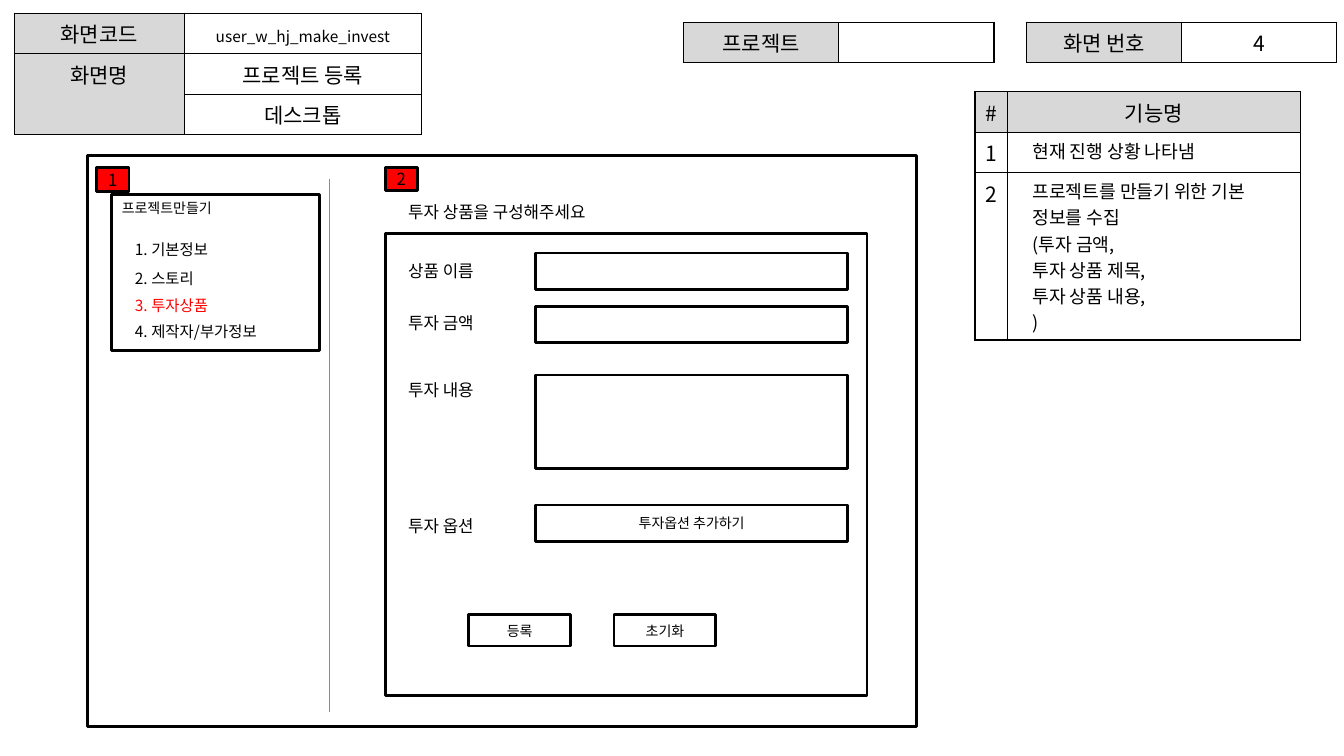
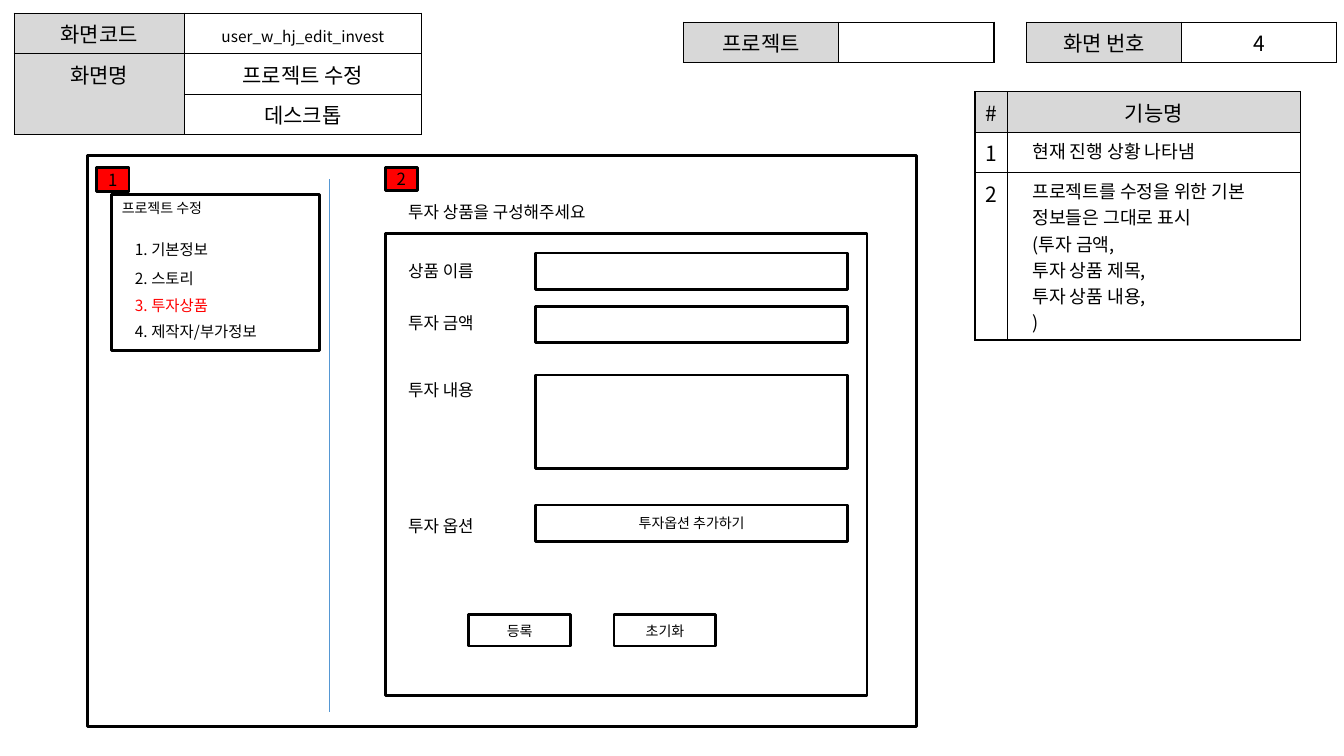
"""Build the two investment-product screen specifications."""
from dataclasses import dataclass

from lxml.etree import SubElement
from pptx import Presentation
from pptx.dml.color import RGBColor
from pptx.enum.shapes import MSO_CONNECTOR, MSO_SHAPE
from pptx.enum.text import MSO_ANCHOR, PP_ALIGN
from pptx.oxml.ns import qn
from pptx.slide import Slide
from pptx.table import _Cell
from pptx.text.text import TextFrame
from pptx.util import Inches, Pt

FONT = "Noto Sans CJK KR"
BLACK, WHITE, GRAY, RED, BLUE = "000000", "FFFFFF", "D8D8D8", "FF0000", "5597D3"
CELL_SIZE = 15
ROW = 0.4


@dataclass(frozen=True)
class Screen:
    code: str
    name: str
    steps_title: str
    purpose: str


@dataclass(frozen=True)
class Label:
    text: str
    left: float
    top: float
    width: float
    size: int
    color: str = BLACK


@dataclass(frozen=True)
class Frame:
    left: float
    top: float
    width: float
    height: float
    text: str = ""
    size: int = 10
    fill: str = ""


@dataclass(frozen=True)
class Entry:
    text: str = ""
    fill: str = WHITE
    size: int = CELL_SIZE
    margin_top: float = 0.05
    indent: float = 0


@dataclass(frozen=True)
class Grid:
    left: float
    top: float
    columns: tuple[float, ...]
    rows: tuple[float, ...]
    entries: tuple[tuple[Entry, ...], ...]


@dataclass(frozen=True)
class Field:
    label: str
    label_top: float
    top: float
    height: float = 0.36
    caption: str = ""


SCREENS = (
    Screen("user_w_hj_make_invest", "프로젝트 등록", "프로젝트만들기",
           "프로젝트를 만들기 위한 기본 정보를 수집"),
    Screen("user_w_hj_edit_invest", "프로젝트 수정", "프로젝트 수정",
           "프로젝트를 수정을 위한 기본 정보들은 그대로 표시"),
)
STEPS = (
    Label("1. 기본정보", 1.24, 2.33, 1.26, 11),
    Label("2. 스토리", 1.24, 2.62, 1.26, 11),
    Label("3. 투자상품", 1.24, 2.89, 2.23, 11, RED),
    Label("4. 제작자/부가정보", 1.24, 3.15, 2.13, 11),
)
PANELS = (
    Frame(0.87, 1.54, 8.22, 5.67),
    Frame(1.11, 1.93, 2.06, 1.55),
    Frame(3.82, 2.32, 4.78, 4.58),
)
BADGES = (
    Frame(0.96, 1.66, 0.32, 0.24, "1", 12, RED),
    Frame(3.82, 1.66, 0.32, 0.23, "2", 12, RED),
)
BUTTONS = (
    Frame(4.65, 6.1, 1.01, 0.31, "등록"),
    Frame(6.09, 6.1, 1.01, 0.31, "초기화"),
)
FIELDS = (
    Field("상품 이름", 2.54, 2.51),
    Field("투자 금액", 3.05, 3.04),
    Field("투자 내용", 3.72, 3.72, 0.93),
    Field("투자 옵션", 5.07, 5.01, caption="투자옵션 추가하기"),
)


def rgb(color: str) -> RGBColor:
    return RGBColor.from_string(color)


def write(frame: TextFrame, text: str, size: int, color: str = BLACK,
          align: PP_ALIGN = PP_ALIGN.LEFT) -> None:
    frame.text = text
    for para in frame.paragraphs:
        para.alignment = align
        for span in para.runs:
            span.font.size = Pt(size)
            span.font.name = FONT
            span.font.color.rgb = rgb(color)
            east_asian = SubElement(span.font._element, qn("a:ea"))
            east_asian.set("typeface", FONT)


def add_label(page: Slide, label: Label) -> None:
    box = page.shapes.add_textbox(Inches(label.left), Inches(label.top),
                                  Inches(label.width), Inches(0.3))
    box.text_frame.word_wrap = True
    write(box.text_frame, label.text, label.size, label.color)


def add_frame(page: Slide, frame: Frame) -> None:
    box = page.shapes.add_shape(
        MSO_SHAPE.RECTANGLE, Inches(frame.left), Inches(frame.top),
        Inches(frame.width), Inches(frame.height))
    box.shadow.inherit = False
    box.line.color.rgb = rgb(BLACK)
    box.line.width = Pt(2)
    if frame.fill:
        box.fill.solid()
        box.fill.fore_color.rgb = rgb(frame.fill)
    else:
        box.fill.background()
    if frame.text:
        box.text_frame.vertical_anchor = MSO_ANCHOR.MIDDLE
        write(box.text_frame, frame.text, frame.size, align=PP_ALIGN.CENTER)


def add_borders(cell: _Cell) -> None:
    properties = cell._tc.get_or_add_tcPr()
    for side in ("L", "R", "T", "B"):
        border = SubElement(properties, qn(f"a:ln{side}"), w=str(Pt(0.96)))
        fill = SubElement(border, qn("a:solidFill"))
        SubElement(fill, qn("a:srgbClr"), val=BLACK)


def fill_cell(cell: _Cell, entry: Entry) -> None:
    add_borders(cell)
    cell.fill.solid()
    cell.fill.fore_color.rgb = rgb(entry.fill)
    side = 0.1 if entry.indent else 0.05
    cell.margin_left = cell.margin_right = Inches(side)
    cell.margin_top = Inches(entry.margin_top)
    cell.margin_bottom = Inches(0.05)
    align = PP_ALIGN.LEFT if entry.indent else PP_ALIGN.CENTER
    write(cell.text_frame, entry.text, entry.size, align=align)
    for para in cell.text_frame.paragraphs:
        if entry.indent:
            para._p.get_or_add_pPr().set("marL", str(Inches(entry.indent)))
        if not para.runs:
            SubElement(para._p, qn("a:endParaRPr"), sz=str(entry.size * 100))


def add_grid(page: Slide, grid: Grid):
    table = page.shapes.add_table(
        len(grid.rows), len(grid.columns), Inches(grid.left), Inches(grid.top),
        Inches(sum(grid.columns)), Inches(sum(grid.rows))).table
    table.first_row = table.horz_banding = False
    for column, width in zip(table.columns, grid.columns):
        column.width = Inches(width)
    for row, height, entries in zip(table.rows, grid.rows, grid.entries):
        row.height = Inches(height)
        for cell, entry in zip(row.cells, entries):
            fill_cell(cell, entry)
    return table


def add_header(page: Slide, screen: Screen) -> None:
    for left, title, value in ((6.78, "프로젝트", ""), (10.18, "화면 번호", "4")):
        add_grid(page, Grid(left, 0.22, (1.54, 1.54), (ROW,),
                            ((Entry(title, GRAY), Entry(value)),)))
    table = add_grid(page, Grid(0.14, 0.13, (1.69, 2.35), (ROW,) * 3, (
        (Entry("화면코드", GRAY), Entry(screen.code, size=11, margin_top=0.11)),
        (Entry("화면명", GRAY), Entry(screen.name)),
        (Entry(fill=GRAY), Entry("데스크톱")),
    )))
    table.cell(1, 0).merge(table.cell(2, 0))


def add_functions(page: Slide, screen: Screen) -> None:
    details = "\n".join((screen.purpose, "(투자 금액,", "투자 상품 제목,",
                         "투자 상품 내용,", ")"))
    add_grid(page, Grid(9.67, 0.91, (0.32, 2.91), (ROW, ROW, 1.66), (
        (Entry("#", GRAY), Entry("기능명", GRAY)),
        (Entry("1"), Entry("현재 진행 상황 나타냄", size=13, indent=0.15)),
        (Entry("2"), Entry(details, size=13, indent=0.15)),
    )))


def add_divider(page: Slide) -> None:
    divider = page.shapes.add_connector(
        MSO_CONNECTOR.STRAIGHT, Inches(3.27), Inches(1.78), Inches(3.27), Inches(7.06))
    divider.line.color.rgb = rgb(BLUE)
    divider.line.width = Pt(0.75)
    SubElement(divider._element.spPr, qn("a:effectLst"))


def add_wireframe(page: Slide, screen: Screen) -> None:
    add_divider(page)
    for frame in PANELS + BADGES + BUTTONS:
        add_frame(page, frame)
    add_label(page, Label(screen.steps_title, 1.11, 1.93, 1.58, 10))
    for step in STEPS:
        add_label(page, step)
    add_label(page, Label("투자 상품을 구성해주세요", 3.95, 1.95, 3.29, 12))
    for field in FIELDS:
        add_label(page, Label(field.label, 3.95, field.label_top, 1.36, 12))
        add_frame(page, Frame(5.31, field.top, 3.1, field.height, field.caption))


def main() -> None:
    deck = Presentation()
    deck.slide_width, deck.slide_height = Inches(13.33), Inches(7.5)
    for screen in SCREENS:
        page = deck.slides.add_slide(deck.slide_layouts[6])
        add_header(page, screen)
        add_functions(page, screen)
        add_wireframe(page, screen)
    deck.save("out.pptx")


if __name__ == "__main__":
    main()
